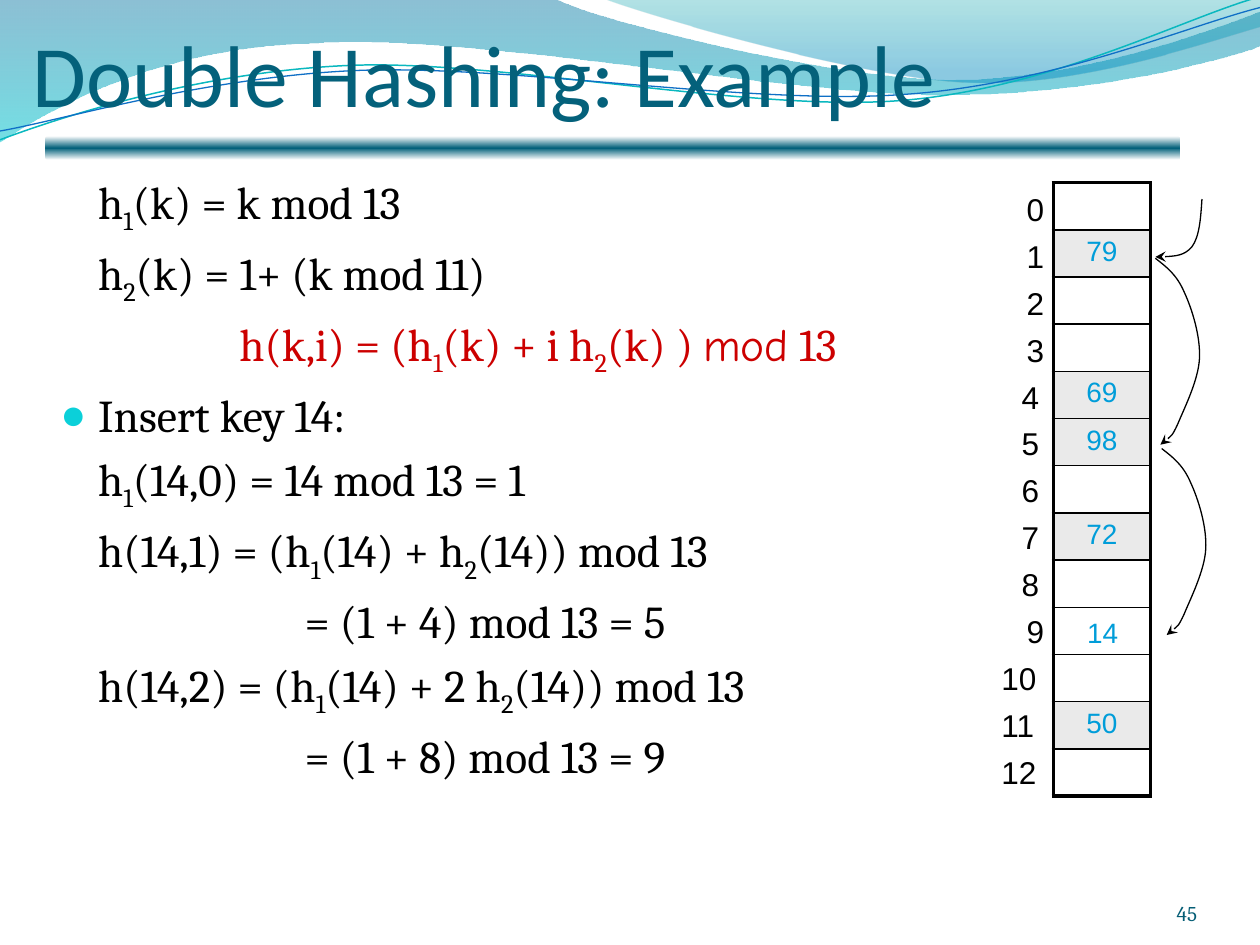
from pptx import Presentation
from pptx.dml.color import RGBColor
from pptx.enum.shapes import MSO_SHAPE
from pptx.enum.text import MSO_ANCHOR, PP_ALIGN
from pptx.oxml import parse_xml
from pptx.oxml.ns import nsdecls
from pptx.util import Inches, Pt
from lxml.etree import SubElement

THEME = {
    "title": "04617B", "text": "000000", "formula": "CC0000", "key": "009DD9",
    "filled": "EAEAEA", "bullet": "0BD0D9", "number": "045D75",
    "heading": "Calibri", "body": "Cambria", "cells": "Arial", "accent": "Comic Neue",
    "title_pt": 50, "body_pt": 26, "index_pt": 18, "key_pt": 16, "number_pt": 12,
}

# Content: pieces are split by "|"; "_" starts a subscript, "*" the accent font
TITLE = "Double Hashing: Example"
LINES = [
    ("plain", "h|_1|(k) = k mod 13"),
    ("plain", "h|_2|(k) = 1+ (k mod 11)"),
    ("formula", "h(k,i) = (h|_1|(k) + i h|_2|(k) ) |*mod| 13"),
    ("bullet", "Insert key 14:"),
    ("plain", "h|_1|(14,0) = 14 mod 13 = 1"),
    ("plain", "h(14,1) = (h|_1|(14) + h|_2|(14)) mod 13"),
    ("result", "= (1 + 4) mod 13 = 5"),
    ("plain", "h(14,2) = (h|_1|(14) + 2 h|_2|(14)) mod 13"),
    ("result", "= (1 + 8) mod 13 = 9"),
]
INDENTS = {"plain": (0.3, 0), "formula": (0, 0), "bullet": (0.3, -0.3), "result": (1.94, 0)}
SLOTS = 13
STORED = {1: "79", 4: "69", 5: "98", 7: "72", 11: "50"}
INSERTED = "14"

# Outlines: start point, then line ends (x, y) or curves (two controls and an end)
WAVES = [
    ([(0, 0), (4.4, -0.01), (4.76, 0.17, 6.64, 0.63, 7.58, 0.63),
      (8.53, 0.63, 9.58, 0.26, 10, 0.09), (10.01, 0.36),
      (9.83, 0.44, 8.7, 0.76, 7.46, 0.75), (6.22, 0.75, 3.82, 0.28, 2.57, 0.34),
      (1.29, 0.36, 0.46, 0.83, -0.01, 1.13), (0, 0)],
     [(0, "0074A1", 45), (100, "00C6CF", 55)]),
    ([(4.79, -0.01), (5.09, 0.11, 6.82, 0.62, 7.69, 0.65),
      (8.56, 0.69, 9.61, 0.32, 10, 0.21), (10, 0), (4.79, -0.01)],
     [(0, "00A1A9", 30), (80, "008BBF", 45)]),
]
WAVE_LINES = [
    ([(0, 1.11), (0.48, 0.93, 1.58, 0.57, 2.77, 0.52), (3.95, 0.47, 5.93, 0.89, 7.13, 0.8),
      (8.33, 0.71, 9.38, 0.15, 9.98, -0.02)], "0AB8BF", 0.85),
    ([(0, 1.04), (0.47, 0.96, 1.64, 0.61, 2.83, 0.56), (4.03, 0.51, 5.97, 0.84, 7.17, 0.75),
      (8.36, 0.67, 9.41, 0.21, 10, 0.06)], "0F6FC6", 0.75),
]
ENTRY = [(9.54, 1.58), (9.53, 1.73, 9.52, 1.88, 9.46, 1.96), (9.4, 2.03, 9.28, 2.04, 9.17, 2.04)]
PROBE = [(0, 0), (0.09, 0.07, 0.17, 0.13, 0.23, 0.27), (0.29, 0.4, 0.36, 0.62, 0.35, 0.8),
         (0.34, 0.97, 0.23, 1.19, 0.18, 1.31), (0.13, 1.42, 0.08, 1.45, 0.04, 1.48)]
PROBE_STARTS = [(9.17, 2.05), (9.22, 3.56)]


def rgb(color):
    return RGBColor.from_string(color)


def add_run(p, text, size, font, color):
    r = p.add_run()
    r.text = text
    r.font.size, r.font.name = Pt(size), font
    r.font.color.rgb = rgb(color)
    return r


def add_text(s, box, text, size, font, color, wrap=True, align=PP_ALIGN.LEFT):
    tf = s.shapes.add_textbox(*map(Inches, box)).text_frame
    tf.word_wrap = wrap
    tf.paragraphs[0].alignment = align
    add_run(tf.paragraphs[0], text, size, font, color)
    return tf


def add_outline(s, outline, closed=False):
    """Freeform through all points; triples of points then become curves."""
    points = [tuple(map(Inches, seg[n:n + 2])) for seg in outline for n in range(0, len(seg), 2)]
    builder = s.shapes.build_freeform(*points[0], scale=1.0)
    builder.add_line_segments(points[1:], close=closed)
    sp = builder.convert_to_shape()
    sp.shadow.inherit = False
    lines = iter(list(sp.element.spPr.iter("{*}lnTo")))
    for seg in outline[1:]:
        first = next(lines)
        if len(seg) == 6:
            curve = SubElement(first.getparent(), first.tag.replace("lnTo", "cubicBezTo"))
            first.addprevious(curve)
            for line in (first, next(lines), next(lines)):
                curve.append(line[0])
                line.getparent().remove(line)
    return sp


def add_curve(s, outline, color, width, arrow=False):
    sp = add_outline(s, outline)
    sp.fill.background()
    sp.line.color.rgb, sp.line.width = rgb(color), Pt(width)
    if arrow:
        ln = sp.element.spPr.find("{*}ln")
        ln.append(parse_xml(f'<a:tailEnd {nsdecls("a")} type="stealth"/>'))


def fill_gradient(sp, stops):
    """Vertical gradient of (position, colour, opacity) stops, without a line."""
    sp.line.fill.background()
    gs = "".join(f'<a:gs pos="{pos * 1000}"><a:srgbClr val="{color}">'
                 f'<a:alpha val="{alpha * 1000}"/></a:srgbClr></a:gs>'
                 for pos, color, alpha in stops)
    sp.element.spPr.find("{*}ln").addprevious(parse_xml(
        f'<a:gradFill {nsdecls("a")} rotWithShape="1"><a:gsLst>{gs}</a:gsLst>'
        '<a:lin ang="5400000" scaled="0"/></a:gradFill>'))


def set_borders(cell, widths):
    tcPr = cell._tc.get_or_add_tcPr()
    for n, (side, width) in enumerate(zip("LRTB", widths)):
        tcPr.insert(n, parse_xml(
            f'<a:ln{side} {nsdecls("a")} w="{Pt(width)}"><a:solidFill>'
            f'<a:srgbClr val="{THEME["text"]}"/></a:solidFill></a:ln{side}>'))


def add_backdrop(s):
    for outline, stops in WAVES:
        fill_gradient(add_outline(s, outline, closed=True), stops)
    for outline, color, width in WAVE_LINES:
        add_curve(s, outline, color, width)
    bar = s.shapes.add_shape(MSO_SHAPE.ROUNDED_RECTANGLE,
                             *map(Inches, (0.36, 1.08, 9.01, 0.19)))
    bar.shadow.inherit = False
    fill_gradient(bar, [(0, "FFFFFF", 100), (50, THEME["title"], 100), (100, "FFFFFF", 100)])


def add_title(s):
    title = s.shapes.title
    title.element.getparent().append(title.element)  # in front of the waves
    title.left, title.top, title.width, title.height = map(Inches, (0.26, 0, 9, 0.99))
    tf = title.text_frame
    tf.margin_left = tf.margin_right = tf.margin_bottom = 0
    tf.margin_top = Inches(0.05)
    tf.vertical_anchor = MSO_ANCHOR.BOTTOM
    tf.paragraphs[0].alignment = PP_ALIGN.LEFT
    add_run(tf.paragraphs[0], TITLE, THEME["title_pt"], THEME["heading"], THEME["title"])


def add_body(s):
    tf = s.shapes.add_textbox(*map(Inches, (0.38, 1.33, 7.78, 5.55))).text_frame
    tf.word_wrap = True
    for n, (kind, line) in enumerate(LINES):
        p = tf.add_paragraph() if n else tf.paragraphs[0]
        p.alignment = PP_ALIGN.CENTER if kind == "formula" else PP_ALIGN.LEFT
        p.space_before = Pt(5.2 if n else 0)
        pPr = p._p.get_or_add_pPr()
        for name, value in zip(("marL", "indent"), INDENTS[kind]):
            pPr.set(name, str(Inches(value)))
        if kind == "bullet":
            for tag in (f'buClr {nsdecls("a")}><a:srgbClr val="{THEME["bullet"]}"/></a:buClr>',
                        f'buSzPct {nsdecls("a")} val="95000"/>',
                        f'buFont {nsdecls("a")} typeface="{THEME["cells"]}"/>',
                        f'buChar {nsdecls("a")} char="●"/>'):
                pPr.append(parse_xml("<a:" + tag))
        color = THEME["formula" if kind == "formula" else "text"]
        for piece in line.split("|"):
            font = THEME["accent" if piece[0] == "*" else "body"]
            r = add_run(p, piece.lstrip("_*"), THEME["body_pt"], font, color)
            if piece[0] == "_":
                r.font._element.set("baseline", "-25000")


def add_hash_table(s):
    frame = s.shapes.add_table(SLOTS, 1, *map(Inches, (8.36, 1.45, 0.77, 4.87)))
    table = frame.table
    table.first_row = table.horz_banding = False
    for i in range(SLOTS):
        table.rows[i].height = Inches(4.87 / SLOTS)
        cell = table.cell(i, 0)
        if i in STORED:
            cell.fill.solid()
            cell.fill.fore_color.rgb = rgb(THEME["filled"])
            p = cell.text_frame.paragraphs[0]
            p.alignment = PP_ALIGN.CENTER
            add_run(p, STORED[i], THEME["key_pt"], THEME["cells"], THEME["key"])
        else:
            cell.fill.background()
            cell.margin_top = cell.margin_bottom = 0
        set_borders(cell, (2.25, 2.25, 2.25 if i == 0 else 1, 2.25 if i == SLOTS - 1 else 1))
    # Slot numbers
    for i in range(SLOTS):
        left, width = (7.85, 0.54) if i > 9 else (8.01, 0.39) if 4 <= i <= 8 else (8.05, 0.34)
        add_text(s, (left, 1.46 + 0.372 * i, width, 0.4), str(i),
                 THEME["index_pt"], THEME["cells"], THEME["text"], wrap=4 <= i != 9)


def main():
    prs = Presentation()
    prs.slide_width, prs.slide_height = Inches(10), Inches(7.5)
    s = prs.slides.add_slide(prs.slide_layouts[5])
    add_backdrop(s)
    add_title(s)
    add_body(s)
    # Slide number
    tf = add_text(s, (8.67, 6.95, 0.83, 0.4), "45", THEME["number_pt"], THEME["body"],
                  THEME["number"], align=PP_ALIGN.RIGHT)
    tf.margin_left = tf.margin_right = tf.margin_top = tf.margin_bottom = 0
    tf.vertical_anchor = MSO_ANCHOR.BOTTOM
    add_hash_table(s)
    # Probe sequence and the inserted key
    probes = [[tuple(v + start[n % 2] for n, v in enumerate(seg)) for seg in PROBE]
              for start in PROBE_STARTS]
    for outline in [ENTRY, *probes]:
        add_curve(s, outline, THEME["text"], 0.75, arrow=True)
    add_text(s, (8.53, 4.84, 0.45, 0.37), INSERTED, THEME["key_pt"], THEME["cells"],
             THEME["key"], wrap=False)
    prs.save("out.pptx")


if __name__ == "__main__":
    main()
